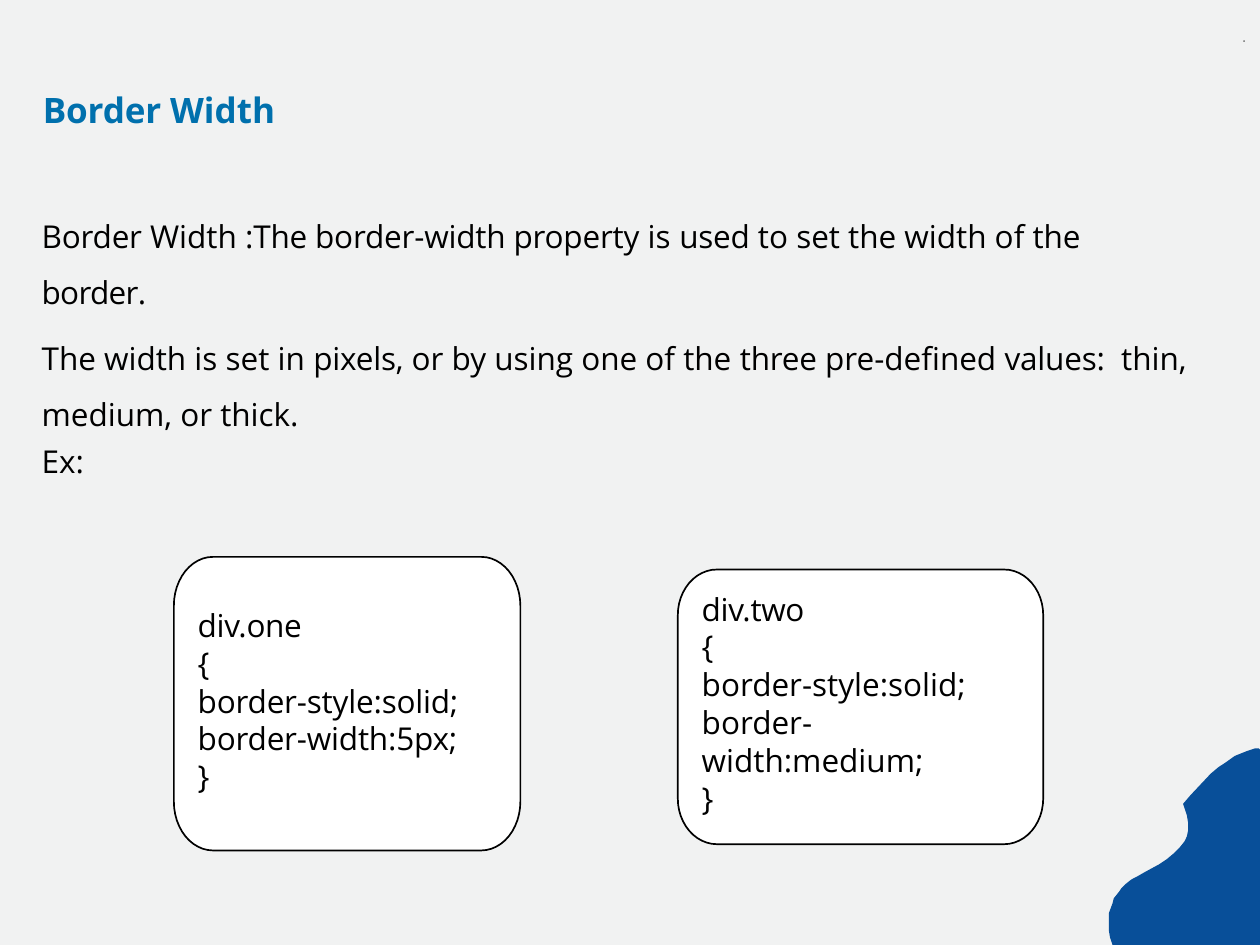
import math
from dataclasses import dataclass

import pptx
import pptx.dml.color
import pptx.enum.shapes
import pptx.enum.text
import pptx.util


@dataclass(frozen=True)
class Theme:
    paper: str = "F1F2F2"
    card: str = "FFFFFF"
    ink: str = "000000"
    title: str = "0070AD"
    wave: str = "084F99"
    font: str = "Open Sans"
    mark_font: str = "Calibri"
    title_size: float = 20
    body_size: float = 18
    mark_size: float = 1.5
    outline: float = 0.96


class SlideBuilder:
    """Places elements by columns and rows of a 10 x 7.5 grid of one-inch cells."""

    columns, rows = 10, 7.5

    def __init__(self, deck, theme):
        self.theme = theme
        self.cell_width = deck.slide_width / self.columns
        self.cell_height = deck.slide_height / self.rows
        self.page = deck.slides.add_slide(deck.slide_layouts[6])

    def paint(self, fill, color):
        fill.solid()
        fill.fore_color.rgb = pptx.dml.color.RGBColor.from_string(color)

    def place(self, column, row):
        return round(column * self.cell_width), round(row * self.cell_height)

    def backdrop(self):
        shape = self.page.shapes.add_shape(
            pptx.enum.shapes.MSO_SHAPE.RECTANGLE, 0, 0,
            *self.place(self.columns, self.rows))
        shape.shadow.inherit = False
        self.paint(shape.fill, self.theme.paper)
        shape.line.fill.background()

    def text(self, left, top, width, height, paras, inset=0.01, indent=0.01,
             size=None, color=None, font=None, bold=False):
        """Each para is (spans, space before, line spacing); a span is (text, tracking)."""
        theme = self.theme
        box = self.page.shapes.add_textbox(*self.place(left, top),
                                           *self.place(width, height))
        frame = box.text_frame
        frame.word_wrap = True
        frame.vertical_anchor = pptx.enum.text.MSO_ANCHOR.TOP
        frame.margin_left = pptx.util.Inches(indent)
        frame.margin_right = frame.margin_bottom = 0
        frame.margin_top = pptx.util.Inches(inset)
        for number, (spans, before, spacing) in enumerate(paras):
            para = frame.add_paragraph() if number else frame.paragraphs[0]
            para.space_before = pptx.util.Pt(before)
            para.line_spacing = spacing
            for words, tracking in spans:
                span = para.add_run()
                span.text = words
                span.font.name = font or theme.font
                span.font.size = pptx.util.Pt(size or theme.body_size)
                span.font.bold = bold
                span.font.color.rgb = pptx.dml.color.RGBColor.from_string(
                    color or theme.ink)
                if tracking:
                    span.font._element.set("spc", str(round(tracking * 100)))

    def outline(self, points, fill, line=None):
        start, *others = [self.place(*point) for point in points]
        pen = self.page.shapes.build_freeform(*start)
        pen.add_line_segments(others, close=True)
        shape = pen.convert_to_shape()
        shape.shadow.inherit = False
        self.paint(shape.fill, fill)
        if line:
            self.paint(shape.line.fill, line)
            shape.line.width = pptx.util.Pt(self.theme.outline)
        else:
            shape.line.fill.background()

    def card(self, left, top, width, height, corner=0.31, steps=12):
        """Card whose corners are quarter ellipses, a sixth of its height tall."""
        rise = height / 6
        points = []
        for quarter in range(4):
            center_x = left + (width - corner if quarter in (0, 3) else corner)
            center_y = top + (height - rise if quarter < 2 else rise)
            for step in range(steps + 1):
                angle = math.pi / 2 * (quarter + step / steps)
                points.append((center_x + corner * math.cos(angle),
                               center_y + rise * math.sin(angle)))
        self.outline(points, self.theme.card, self.theme.ink)

    def code(self, left, top, width, height, lines):
        self.text(left, top, width, height,
                  [([line], 0 if number else 1, 1.0) for number, line in enumerate(lines)])


theme = Theme()
deck = pptx.Presentation()
deck.slide_width = pptx.util.Inches(10)
deck.slide_height = pptx.util.Inches(7.5)
slide = SlideBuilder(deck, theme)
slide.backdrop()

# Title and explanation
slide.text(0.32, 0.69, 2.11, 0.36, [([("Border ", -0.1), ("Width", 0)], 1.1, 1.0)],
           indent=0.02, size=theme.title_size, color=theme.title, bold=True)
slide.text(0.29, 1.56, 9.42, 2.26, [
    ([("Border ", -0.1), ("Width ", 0), (":The border-width property ", -0.1),
      ("is ", 0.1), ("used ", -0.1), ("to set the width of the", 0)], 11.8, 1.0),
    ([("border.", -0.4)], 10.8, 1.0),
    ([("The width is set in ", 0), ("pixels, ", -0.1), ("or by using one of the ", 0),
      ("three ", -0.1), ("pre-de\ufb01ned ", 0), ("values:", -0.1), (" ", 4.5),
      ("thin, medium, or thick.", 0)], 5, 1.5),
    ([("Ex:", 0)], 4.8, 1.0),
], inset=0.16, indent=0.04)

# Example cards: card area, text area, lines of code with tracking
examples = [
    ((1.38, 4.42, 2.75, 2.33), (1.56, 4.8, 2.36, 1.53),
     [("div.one", -0.2), ("{", 0), ("border-style:solid;", -0.1),
      ("border-width:5px;", -0.1), ("}", 0)]),
    ((5.38, 4.52, 2.9, 2.18), (5.56, 4.67, 2.36, 1.83),
     [("div.two", -0.2), ("{", 0), ("border-style:solid;", 0),
      ("border-width:medium;", 0), ("}", 0)]),
]
for card_area, code_area, lines in examples:
    slide.card(*card_area)
    slide.code(*code_area, lines)

# Corner wave
slide.outline([
    (10, 5.95), (9.99, 5.94), (9.96, 5.94), (9.9, 5.96), (9.8, 6), (9.73, 6.05),
    (9.67, 6.09), (9.61, 6.14), (9.45, 6.31), (9.39, 6.38), (9.42, 6.47),
    (9.43, 6.53), (9.43, 6.59), (9.42, 6.64), (9.4, 6.68), (9.36, 6.73),
    (9.32, 6.77), (9.26, 6.82), (9.2, 6.86), (9.09, 6.92), (9.02, 6.96),
    (8.98, 6.98), (8.93, 7.02), (8.9, 7.05), (8.88, 7.08), (8.84, 7.13),
    (8.83, 7.17), (8.8, 7.25), (8.8, 7.38), (8.81, 7.44), (8.83, 7.5), (10, 7.5),
], theme.wave)

# Tiny corner mark
slide.text(9.85, 0.3, 0.05, 0.06, [([("R", 0.2)], 1.3, 1.0)], inset=0.02,
           indent=0.02, size=theme.mark_size, font=theme.mark_font, bold=True)

deck.save("out.pptx")
